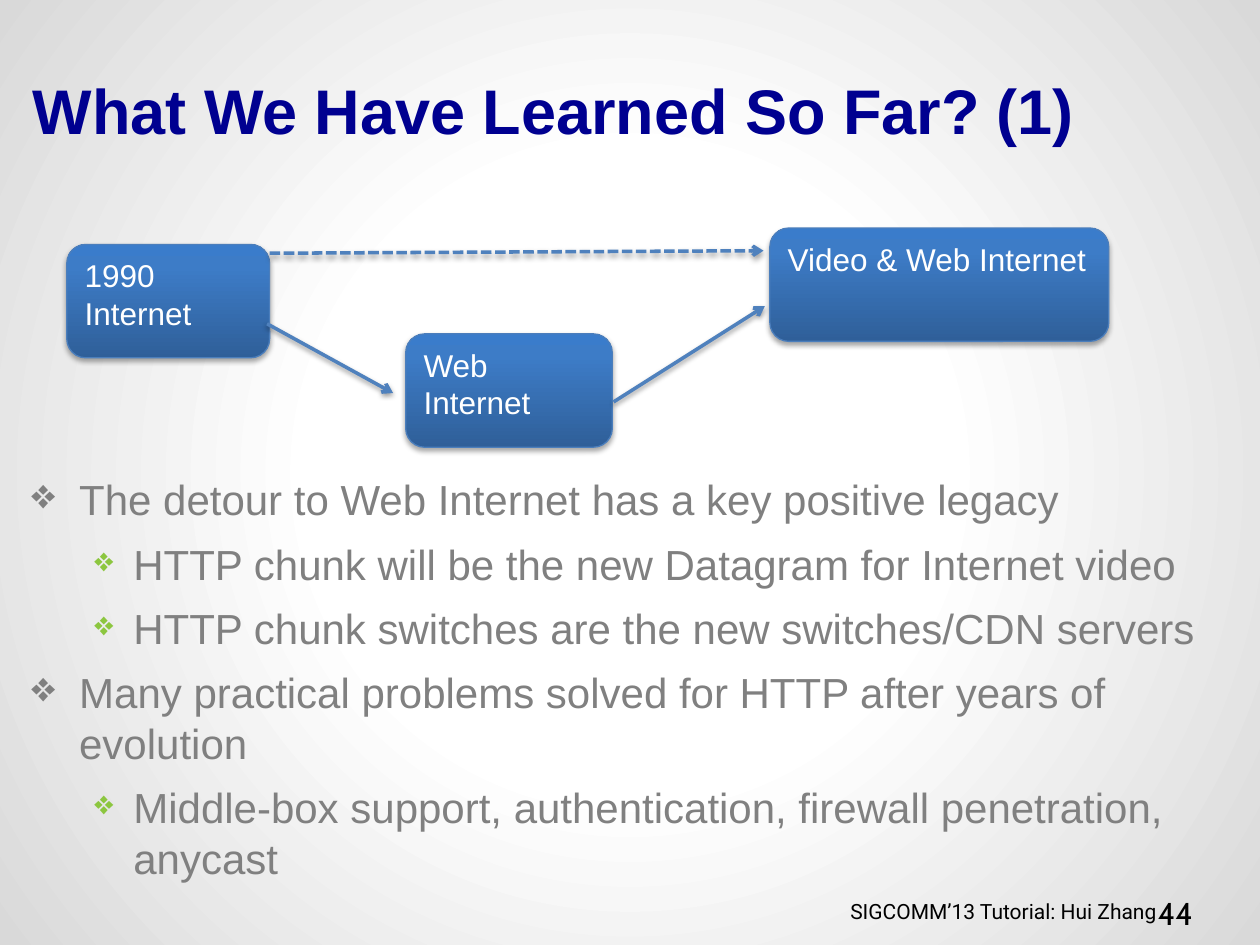
from pptx import Presentation
from pptx.dml.color import RGBColor
from pptx.enum.dml import MSO_LINE
from pptx.enum.shapes import MSO_CONNECTOR, MSO_SHAPE
from pptx.enum.text import MSO_ANCHOR, MSO_AUTO_SIZE, PP_ALIGN
from pptx.oxml import parse_xml
from pptx.oxml.ns import nsdecls, qn
from pptx.oxml.xmlchemy import OxmlElement
from pptx.util import Inches, Pt

# The slide is a grid of 100 columns by 75 rows of square cells.
CELL = Inches(0.1)
COLUMNS, ROWS = 100, 75

NAVY = RGBColor(0x00, 0x00, 0x90)
GREY = RGBColor(0x80, 0x80, 0x80)
GREEN = RGBColor(0x8C, 0xC6, 0x3F)
BLACK = RGBColor(0x00, 0x00, 0x00)
WHITE = RGBColor(0xFF, 0xFF, 0xFF)
PALE_GREY = RGBColor(0xD9, 0xD9, 0xD9)
BOX_EDGE = RGBColor(0x4B, 0x7E, 0xBC)
ARROW_BLUE = RGBColor(0x4F, 0x81, 0xBD)
BOX_STOPS = [(0, RGBColor(0x2F, 0x5F, 0x99)), (80, RGBColor(0x3D, 0x7C, 0xC7)),
             (100, RGBColor(0x3A, 0x7C, 0xCB))]
UPWARD = '<a:lin ang="16200000" scaled="0"/>'
FROM_CENTRE = ('<a:path path="circle"><a:fillToRect l="50000" t="50000" '
               'r="50000" b="50000"/></a:path>')

BOXES = [
    ("1990 Internet", (5.3, 19.4, 16.1, 9)),
    ("Web Internet", (32.2, 26.5, 16.4, 9)),
    ("Video & Web Internet", (61.1, 18.1, 26.9, 9)),
]
ARROWS = [
    ((21.2, 25.7), (31.2, 31.2), False),
    ((48.7, 31.9), (60.7, 24.3), False),
    ((21.4, 20.1), (60.6, 19.9), True),
]
POINTS = [
    (0, "The detour to Web Internet has a key positive legacy"),
    (1, "HTTP chunk will be the new Datagram for Internet video"),
    (1, "HTTP chunk switches are the new switches/CDN servers"),
    (0, "Many practical problems solved for HTTP after years of evolution"),
    (1, "Middle-box support, authentication, firewall penetration, anycast"),
]


def cells(*counts):
    return [int(count * CELL) for count in counts]


def add_span(para, text, size, color, font="Arial", bold=False):
    span = para.add_run()
    span.text = text
    span.font.name = font
    span.font.size = Pt(size)
    span.font.bold = bold
    span.font.color.rgb = color


def set_gradient(owner, stops, direction):
    """Replace the gradient fill found inside the element owner."""
    marks = "".join(f'<a:gs pos="{share * 1000}"><a:srgbClr val="{color}"/></a:gs>'
                    for share, color in stops)
    old = next(owner.iter(qn("a:gradFill")))
    old.getparent().replace(old, parse_xml(
        f'<a:gradFill {nsdecls("a")} rotWithShape="1">'
        f'<a:gsLst>{marks}</a:gsLst>{direction}</a:gradFill>'))


def add_shadow(shape, opacity, distance):
    """Add a soft shadow below the shape, whose line is already set."""
    shape.element.spPr.append(parse_xml(
        f'<a:effectLst {nsdecls("a")}><a:outerShdw blurRad="{Pt(3.1)}" '
        f'dist="{Pt(distance)}" dir="5400000" rotWithShape="0">'
        f'<a:srgbClr val="000000"><a:alpha val="{opacity * 1000}"/></a:srgbClr>'
        f'</a:outerShdw></a:effectLst>'))


def add_bullet(para, level):
    left, hanging = [(0.38, 0.38), (0.81, 0.31)][level]
    para.level = level
    properties = para._p.get_or_add_pPr()
    properties.set("marL", str(Inches(left)))
    properties.set("indent", str(-Inches(hanging)))
    if level:
        color = OxmlElement("a:buClr")
        value = OxmlElement("a:srgbClr")
        value.set("val", str(GREEN))
        color.append(value)
        size = OxmlElement("a:buSzPct")
        size.set("val", "80000")
        properties.extend([color, size])
    mark = OxmlElement("a:buChar")
    mark.set("char", "❖")
    properties.append(mark)


def set_title(page, text):
    title = page.shapes.title
    title.left, title.top, title.width, title.height = cells(1.6, 2.6, 94.2, 14.3)
    frame = title.text_frame
    frame.auto_size = MSO_AUTO_SIZE.NONE
    frame.vertical_anchor = MSO_ANCHOR.BOTTOM
    frame.margin_bottom = Inches(0.05) + Pt(34)
    para = frame.paragraphs[0]
    para.alignment = PP_ALIGN.LEFT
    para.line_spacing = Pt(34)
    add_span(para, text, 36, NAVY, bold=True)


def add_points(page, points):
    frame = page.shapes.add_textbox(*cells(1.5, 37.1, 98.5, 11.2)).text_frame
    frame.word_wrap = True
    for index, (level, text) in enumerate(points):
        para = frame.add_paragraph() if index else frame.paragraphs[0]
        add_bullet(para, level)
        para.space_before = Pt(8 if index else 0)
        add_span(para, text, 24, GREY)


def add_box(page, text, place):
    box = page.shapes.add_shape(MSO_SHAPE.ROUNDED_RECTANGLE, *cells(*place))
    box.fill.gradient()
    set_gradient(box.element.spPr, BOX_STOPS, UPWARD)
    box.line.color.rgb = BOX_EDGE
    box.line.width = Pt(0.75)
    add_shadow(box, 35, 1.8)
    box.text_frame.vertical_anchor = MSO_ANCHOR.TOP
    para = box.text_frame.paragraphs[0]
    para.alignment = PP_ALIGN.LEFT
    add_span(para, text, 18, WHITE)


def add_arrow(page, start, end, dashed):
    arrow = page.shapes.add_connector(MSO_CONNECTOR.STRAIGHT, *cells(*start, *end))
    arrow.line.color.rgb = ARROW_BLUE
    arrow.line.width = Pt(2)
    if dashed:
        arrow.line.dash_style = MSO_LINE.SQUARE_DOT
    head = OxmlElement("a:tailEnd")
    head.set("type", "arrow")
    arrow.line._get_or_add_ln().append(head)
    add_shadow(arrow, 38, 1.6)


def add_label(page, text, place, size, font, wrap):
    frame = page.shapes.add_textbox(*cells(*place)).text_frame
    frame.word_wrap = wrap
    add_span(frame.paragraphs[0], text, size, BLACK, font)


def main():
    deck = Presentation()
    deck.slide_width, deck.slide_height = cells(COLUMNS, ROWS)
    page = deck.slides.add_slide(deck.slide_layouts[5])
    page.background.fill.gradient()
    set_gradient(page.element, [(40, WHITE), (100, PALE_GREY)], FROM_CENTRE)

    add_label(page, "SIGCOMM’13 Tutorial: Hui Zhang", (66.5, 70.8, 27.2, 3),
              12, "Roboto", False)
    set_title(page, "What We Have Learned So Far? (1)")
    add_points(page, POINTS)
    add_label(page, "44", (90.9, 70.5, 7.5, 3), 18, "Cabin", True)
    for text, place in BOXES:
        add_box(page, text, place)
    for start, end, dashed in ARROWS:
        add_arrow(page, start, end, dashed)
    deck.save("out.pptx")


if __name__ == "__main__":
    main()
